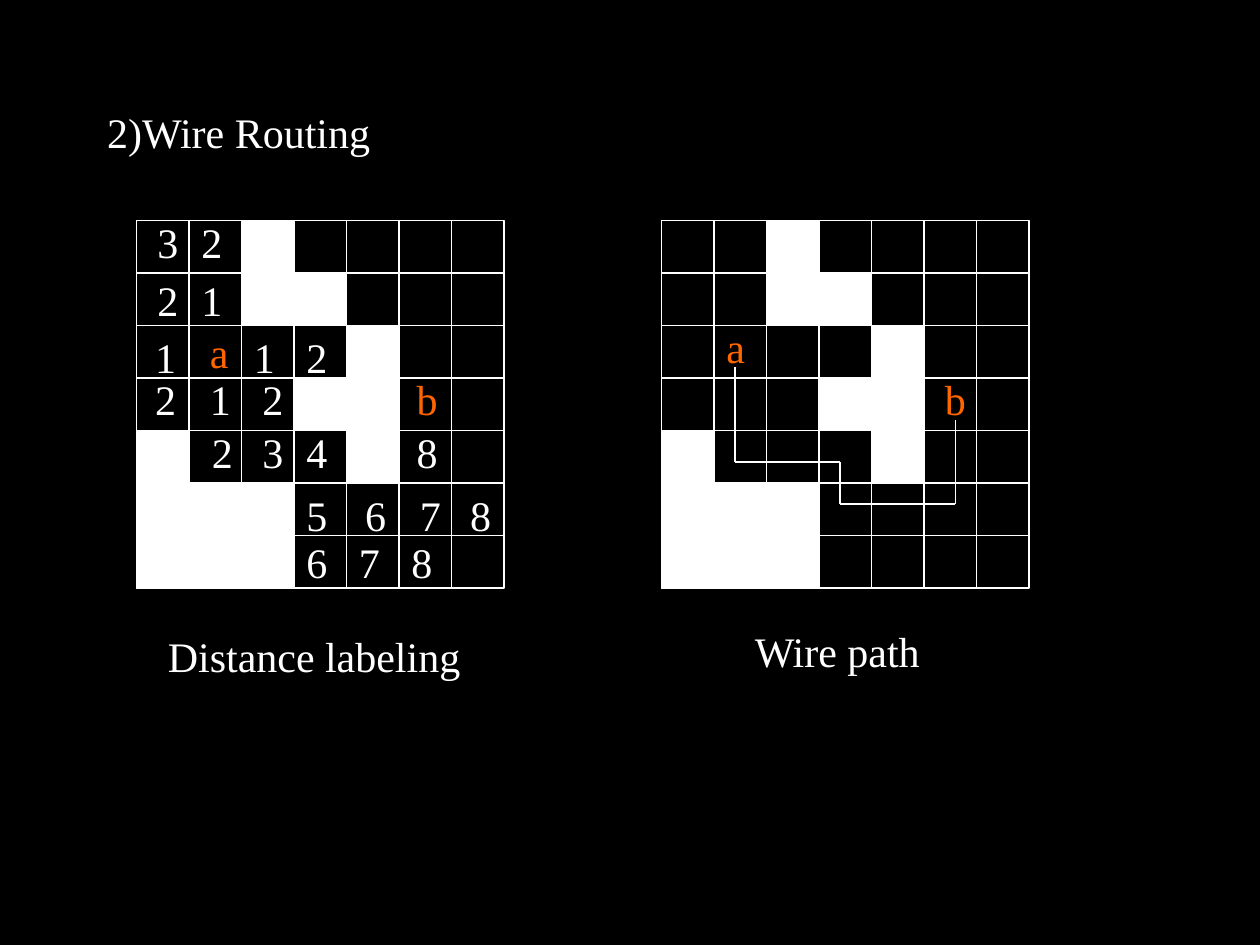
from dataclasses import dataclass
from itertools import pairwise

from lxml import etree
from pptx import Presentation
from pptx import util as u
from pptx.dml import color
from pptx.enum import shapes, text
from pptx.oxml import ns

PX = 914400 // 120
CELL = 50
CELLS = 7


@dataclass(frozen=True)
class Theme:
    paper: color.RGBColor = color.RGBColor(0, 0, 0)
    ink: color.RGBColor = color.RGBColor(255, 255, 255)
    accent: color.RGBColor = color.RGBColor(255, 102, 0)
    font: str = "Times New Roman"
    size: u.Pt = u.Pt(24)
    gap: u.Pt = u.Pt(6)
    line: u.Pt = u.Pt(0.75)


@dataclass(frozen=True)
class Label:
    words: str
    left: int
    top: int
    width: int = 44


@dataclass(frozen=True)
class Block:
    column: int
    row: int
    columns: int = 1
    rows: int = 1


@dataclass(frozen=True)
class Board:
    left: int
    top: int
    blocks: tuple[Block, ...]
    labels: tuple[Label, ...]
    wire: tuple[tuple[int, int], ...] = ()


THEME = Theme()
SHARED_BLOCKS = (Block(2, 0, 1, 2), Block(3, 1), Block(0, 4, 1, 3),
                 Block(4, 2, 1, 3), Block(3, 3))
DISTANCE_ROWS = {
    200: ((138, "3"), (180, "2")),
    256: ((138, "2"), (180, "1")),
    305: ((188, "a"),),
    310: ((136, "1"), (230, "1"), (280, "2")),
    350: ((136, "2"), (188, "1"), (238, "2"), (385, "b")),
    400: ((190, "2"), (238, "3"), (280, "4"), (385, "8")),
    460: ((280, "5"), (336, "6"), (388, "7"), (436, "8")),
}
DISTANCES = tuple(Label(words, left, top)
                  for top, row in DISTANCE_ROWS.items() for left, words in row)
WIRE_PATH = Board(
    630, 210,
    SHARED_BLOCKS + (Block(1, 5, 1, 2), Block(2, 5, 1, 2)),
    (Label("a", 680, 300, 42), Label("b", 888, 350)),
    ((700, 350), (700, 440), (800, 440), (800, 480), (910, 480), (910, 400)),
)
DISTANCE_LABELING = Board(
    130, 210,
    SHARED_BLOCKS + (Block(1, 5, 2, 2),),
    DISTANCES + (Label("6\t7\t8", 280, 505, 144),),
)
CAPTIONS = (Label("Distance labeling", 148, 595, 304),
            Label("Wire path", 707, 590, 184))


def add_words(para, words: str, tint: color.RGBColor) -> None:
    span = para.add_run()
    span.text = words
    span.font.name = THEME.font
    span.font.size = THEME.size
    span.font.color.rgb = tint


def add_tab_stops(para, count: int) -> None:
    stops = etree.SubElement(para._p.get_or_add_pPr(), ns.qn("a:tabLst"))
    for index in range(1, count + 1):
        etree.SubElement(stops, ns.qn("a:tab"), pos=str(index * CELL * PX), algn="l")


def add_label(canvas, label: Label) -> None:
    box = canvas.add_textbox(label.left * PX, label.top * PX, label.width * PX, 60 * PX)
    frame = box.text_frame
    frame.word_wrap = False
    frame.auto_size = text.MSO_AUTO_SIZE.SHAPE_TO_FIT_TEXT
    para = frame.paragraphs[0]
    para.space_before = THEME.gap
    if "\t" in label.words:
        add_tab_stops(para, label.words.count("\t"))
    add_words(para, label.words, THEME.accent if label.words in "ab" else THEME.ink)


def add_line(canvas, start: tuple[int, int], end: tuple[int, int]) -> None:
    line = canvas.add_connector(shapes.MSO_CONNECTOR.STRAIGHT,
                                *(value * PX for value in start + end))
    line.line.color.rgb = THEME.ink
    line.line.width = THEME.line
    etree.SubElement(line._element.spPr, ns.qn("a:effectLst"))


def add_block(canvas, board: Board, block: Block, filled: bool = True) -> None:
    box = canvas.add_shape(
        shapes.MSO_SHAPE.RECTANGLE,
        (board.left + block.column * CELL) * PX, (board.top + block.row * CELL) * PX,
        block.columns * CELL * PX, block.rows * CELL * PX)
    box.shadow.inherit = False
    if filled:
        box.fill.solid()
        box.fill.fore_color.rgb = THEME.ink
    else:
        box.fill.background()
    box.line.color.rgb = THEME.ink
    box.line.width = THEME.line


def add_board(page, board: Board) -> None:
    canvas = page.shapes.add_group_shape().shapes
    add_block(canvas, board, Block(0, 0, CELLS, CELLS), filled=False)
    right, bottom = board.left + CELLS * CELL, board.top + CELLS * CELL
    for step in range(CELL, CELLS * CELL, CELL):
        add_line(canvas, (board.left, board.top + step), (right, board.top + step))
    for step in range(CELL, CELLS * CELL, CELL):
        add_line(canvas, (board.left + step, board.top), (board.left + step, bottom))
    for block in board.blocks:
        add_block(canvas, board, block)
    for label in board.labels:
        add_label(canvas, label)
    for start, end in pairwise(board.wire):
        add_line(canvas, start, end)


def add_title(page, words: str) -> None:
    title = page.shapes.title
    title.left, title.top, title.width, title.height = (
        value * PX for value in (90, 80, 1020, 90))
    title.text_frame.vertical_anchor = text.MSO_ANCHOR.MIDDLE
    para = title.text_frame.paragraphs[0]
    para.alignment = text.PP_ALIGN.LEFT
    add_words(para, words, THEME.ink)


def main() -> None:
    deck = Presentation()
    deck.slide_width, deck.slide_height = 1200 * PX, 900 * PX
    page = deck.slides.add_slide(deck.slide_layouts.get_by_name("Title Only"))
    page.background.fill.solid()
    page.background.fill.fore_color.rgb = THEME.paper
    add_title(page, "2)Wire Routing")
    for board in (WIRE_PATH, DISTANCE_LABELING):
        add_board(page, board)
    for caption in CAPTIONS:
        add_label(page.shapes, caption)
    deck.save("out.pptx")


if __name__ == "__main__":
    main()
